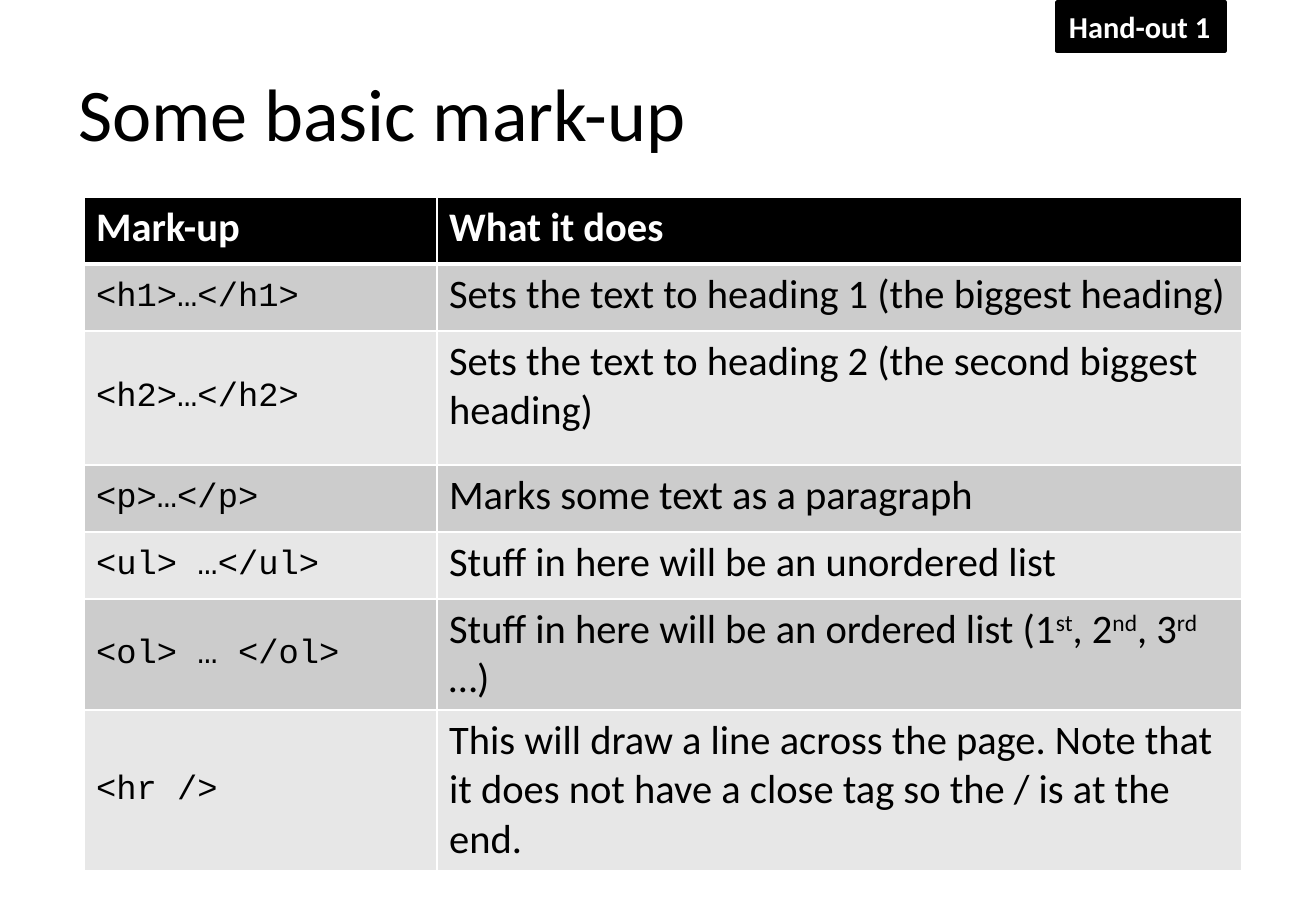
from lxml import etree
from pptx import Presentation
from pptx import util as u
from pptx.dml.color import RGBColor
from pptx.enum import shapes, text
from pptx.oxml import ns

BLACK = RGBColor(0, 0, 0)
WHITE = RGBColor(255, 255, 255)
DARK = RGBColor(0xCC, 0xCC, 0xCC)
LIGHT = RGBColor(0xE7, 0xE7, 0xE7)


def px(n):
    return u.Emu(round(n * 914400 / 121.5))


def style(font, size, color, name="Calibri", bold=False):
    font.name, font.size, font.bold = name, u.Pt(size), bold
    font.color.rgb = color


deck = Presentation()
deck.slide_width, deck.slide_height = px(1316), px(911)
slide = deck.slides.add_slide(deck.slide_layouts[5])

# Title
title = slide.shapes.title
title.left, title.top, title.width, title.height = px(66), px(36), px(1185), px(152)
title.text_frame.text = "Some basic mark-up"
title.text_frame.vertical_anchor = text.MSO_ANCHOR.MIDDLE
head = title.text_frame.paragraphs[0]
head.alignment = text.PP_ALIGN.LEFT
style(head.font, 44, BLACK)

# Mark-up table; each description is a list of runs, every second one raised
rows = [
    (67, "Mark-up", ["What it does"]),
    (67, "<h1>…</h1>", ["Sets the text to heading 1 (the biggest heading)"]),
    (134, "<h2>…</h2>", ["Sets the text to heading 2 (the second biggest heading)"]),
    (67, "<p>…</p>", ["Marks some text as a paragraph"]),
    (67, "<ul> …</ul>", ["Stuff in here will be an unordered list"]),
    (111, "<ol> … </ol>", ["Stuff in here will be an ordered list (1", "st", ", 2",
                           "nd", ", 3", "rd", " …)"]),
    (160, "<hr />", ["This will draw a line across the page. Note that it does not "
                     "have a close tag so the / is at the end."]),
]
high = sum(row[0] for row in rows)
table = slide.shapes.add_table(len(rows), 2, px(84), px(197), px(1158), px(high)).table
table.columns[0].width, table.columns[1].width = px(353), px(805)

for r, (tall, tag, parts) in enumerate(rows):
    table.rows[r].height = px(tall)
    for c, runs in enumerate([[tag], parts]):
        cell = table.cell(r, c)
        para = cell.text_frame.paragraphs[0]
        for i, words in enumerate(runs):
            run = para.add_run()
            run.text = words
            if i % 2:
                run._r.get_or_add_rPr().set("baseline", "30000")
        if r == 0:
            style(para.font, 24, WHITE, bold=True)
        elif c == 0:
            style(para.font, 20, BLACK, "Courier New")
            cell.vertical_anchor = text.MSO_ANCHOR.MIDDLE
        else:
            style(para.font, 24, BLACK)
        cell.fill.solid()
        cell.fill.fore_color.rgb = BLACK if r == 0 else DARK if r % 2 else LIGHT

        # White borders, thick between header and body
        props = cell._tc.get_or_add_tcPr()
        for i, side in enumerate("LRTB"):
            thick = (r, side) in [(0, "B"), (1, "T")]
            line = etree.Element(ns.qn("a:ln" + side), w=str(u.Pt(3 if thick else 1)))
            fill = etree.SubElement(line, ns.qn("a:solidFill"))
            etree.SubElement(fill, ns.qn("a:srgbClr"), val=str(WHITE))
            props.insert(i, line)

# Hand-out label
label = slide.shapes.add_shape(shapes.MSO_SHAPE.RECTANGLE, px(1057), px(2), px(168), px(49))
label.shadow.inherit = False
label.fill.solid()
label.fill.fore_color.rgb = BLACK
label.line.color.rgb = BLACK
label.line.width = u.Pt(2)
frame = label.text_frame
frame.text = "Hand-out 1"
frame.word_wrap = False
frame.auto_size = text.MSO_AUTO_SIZE.SHAPE_TO_FIT_TEXT
style(frame.paragraphs[0].font, 18, WHITE, bold=True)

deck.save("out.pptx")
